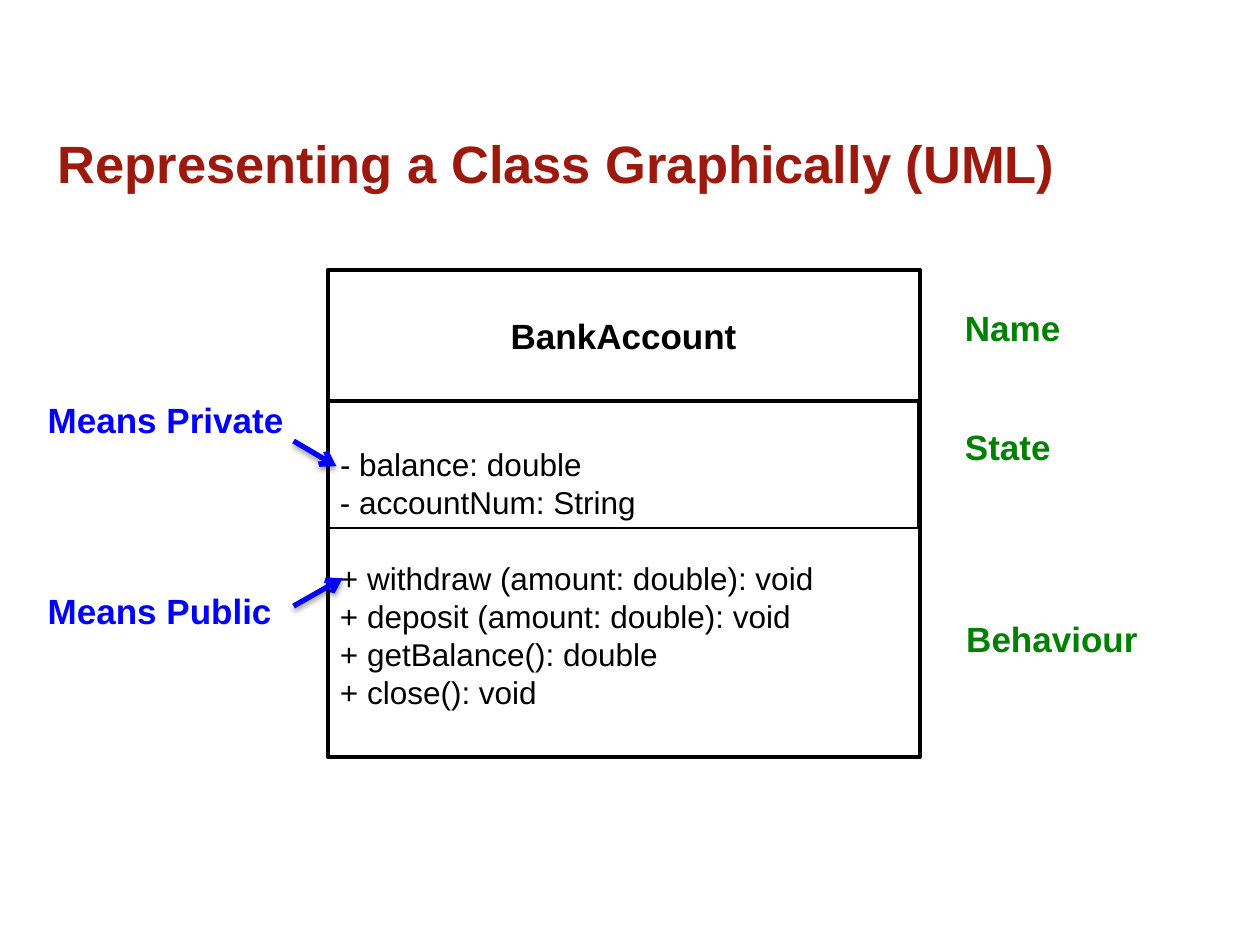
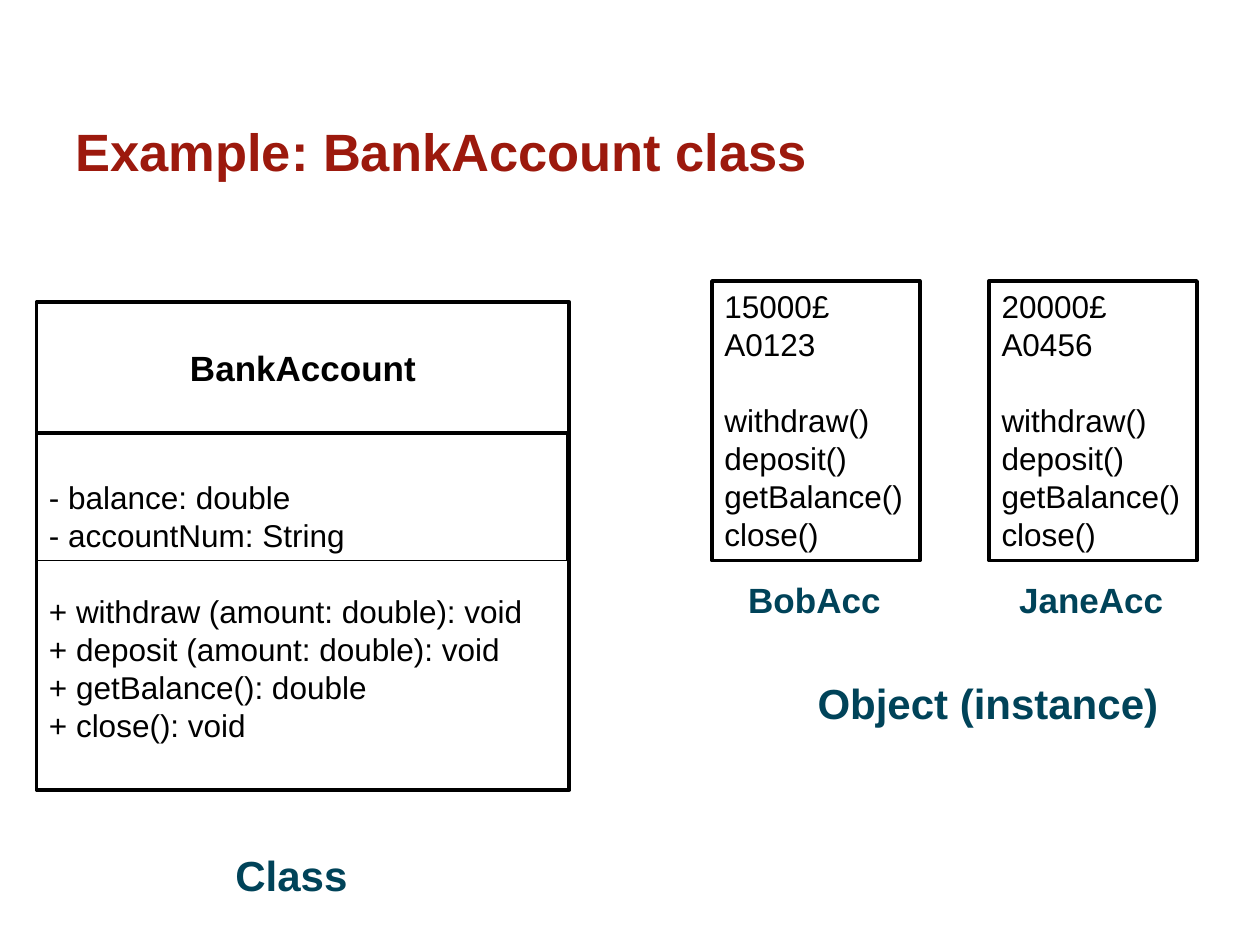
from lxml.etree import SubElement
from pptx import Presentation
from pptx.dml.color import RGBColor
from pptx.enum.shapes import MSO_CONNECTOR, MSO_SHAPE
from pptx.enum.text import MSO_ANCHOR, PP_ALIGN
from pptx.oxml import parse_xml
from pptx.oxml.ns import nsdecls, qn
from pptx.util import Inches, Pt

COLORS = {"title": "9C190D", "ink": "000000", "paper": "FFFFFF",
          "visibility": "0000FF", "section": "008000", "caption": "004359"}
STYLES = {
    "title": {"size": Pt(30), "bold": True},
    "heading": {"size": Pt(24), "bold": True},
    "label": {"size": Pt(20), "bold": True},
    "member": {"size": Pt(18), "bold": False},
}
LINE_RATIO = 1.205
PAD = 0.05
ROW = 18 * LINE_RATIO / 72
NAME_H, STATE_H, BODY_H = 1.04, 1.01, 2.83

CLASS_NAME = "BankAccount"
FIRST_FIELD = "- balance: double"
OTHER_MEMBERS = [
    ["- accountNum: String"],
    ["+ withdraw (amount: double): void", "+ deposit (amount: double): void",
     "+ getBalance(): double", "+ close(): void"],
]
METHODS = ["withdraw()", "deposit()", "getBalance()", "close()"]
OBJECTS = [
    (["15000£", "A0123"], ("BobAcc", 5.84, 1.26)),
    (["20000£", "A0456"], ("JaneAcc", 7.99, 1.36)),
]
OBJECT_X, OBJECT_Y, OBJECT_W, OBJECT_H, OBJECT_STEP = 5.65, 2.23, 1.65, 2.22, 2.2

UML_SLIDE = {
    "title": ("Representing a Class Graphically (UML)", 0.36, 0.99, 9.28, 0.72),
    "class": (2.6, 2.14, 4.7),
    "labels": [
        ("Means Private", 0.28, 3.11, 2.09, "label", "visibility"),
        ("Means Public", 0.28, 4.63, 1.99, "label", "visibility"),
        ("Name", 7.56, 2.38, 0.97, "label", "section"),
        ("State", 7.56, 3.33, 0.89, "label", "section"),
        ("Behaviour", 7.57, 4.85, 1.58, "label", "section"),
    ],
    "arrows": [(2.33, 3.5, 2.67, 3.7), (2.33, 4.81, 2.72, 4.59)],
    "objects": [],
}
EXAMPLE_SLIDE = {
    "title": ("Example: BankAccount class", 0.5, 0.89, 9, 1.08),
    "class": (0.29, 2.4, 4.23),
    "labels": [
        ("Class", 1.77, 6.69, 1.1, "heading", "caption"),
        ("Object (instance)", 6.39, 5.33, 2.93, "heading", "caption"),
    ],
    "arrows": [],
    "objects": OBJECTS,
}


def rgb(name):
    return RGBColor.from_string(COLORS[name])


def write(sp, groups, style, color="ink", align=PP_ALIGN.LEFT, wrap=True, skip=0):
    """Fill a shape with groups of lines, one row apart, starting skip rows down."""
    tf = sp.text_frame
    frame = {"word_wrap": wrap, "vertical_anchor": MSO_ANCHOR.TOP,
             "margin_top": Inches(PAD + skip * ROW), "margin_bottom": Inches(PAD)}
    for key, value in frame.items():
        setattr(tf, key, value)
    fmt = STYLES[style]
    lines = [(text, g > 0 and i == 0)
             for g, group in enumerate(groups) for i, text in enumerate(group)]
    for n, (text, new_group) in enumerate(lines):
        p = tf.add_paragraph() if n else tf.paragraphs[0]
        p.alignment = align
        p.line_spacing = Pt(round(fmt["size"].pt * LINE_RATIO, 1))
        if new_group:
            p.space_before = Inches(ROW)
        r = p.add_run()
        r.text = text
        r.font.name = "Arial"
        r.font.color.rgb = rgb(color)
        for key, value in fmt.items():
            setattr(r.font, key, value)


def add_label(s, text, x, y, w, style, color, h=None, wrap=False):
    h = h or STYLES[style]["size"].inches * LINE_RATIO + 2 * PAD
    sp = s.shapes.add_textbox(*map(Inches, (x, y, w, h)))
    write(sp, [[text]], style, color, wrap=wrap)


def add_box(s, x, y, w, h, weight, fill=None):
    sp = s.shapes.add_shape(MSO_SHAPE.RECTANGLE, *map(Inches, (x, y, w, h)))
    sp.shadow.inherit = False
    sp.line.color.rgb = rgb("ink")
    sp.line.width = Pt(weight)
    if fill:
        sp.fill.solid()
        sp.fill.fore_color.rgb = rgb(fill)
    else:
        sp.fill.background()
    return sp


def add_class(s, x, y, w):
    body_y = y + NAME_H
    write(add_box(s, x, y, w, NAME_H, 2.25), [[CLASS_NAME]], "label",
          align=PP_ALIGN.CENTER, skip=1)
    write(add_box(s, x, body_y, w - 0.02, STATE_H, 0.75), [[FIRST_FIELD]], "member", skip=1)
    write(add_box(s, x, body_y, w, BODY_H, 2.25), OTHER_MEMBERS, "member", skip=2)


def add_arrow(s, *ends):
    c = s.shapes.add_connector(MSO_CONNECTOR.STRAIGHT, *map(Inches, ends))
    c.line.color.rgb = rgb("visibility")
    c.line.width = Pt(3)
    SubElement(c.line._get_or_add_ln(), qn("a:tailEnd"), type="arrow")
    c._element.spPr.append(parse_xml(
        f'<a:effectLst {nsdecls("a")}>'
        f'<a:outerShdw blurRad="{Pt(3.1)}" dist="{Pt(1.8)}" dir="5400000" rotWithShape="0">'
        f'<a:srgbClr val="{COLORS["ink"]}"><a:alpha val="35000"/></a:srgbClr>'
        '</a:outerShdw></a:effectLst>'))


def add_objects(s, objects):
    for i, (state, (name, x, w)) in enumerate(objects):
        sp = add_box(s, OBJECT_X + i * OBJECT_STEP, OBJECT_Y, OBJECT_W, OBJECT_H, 2, "paper")
        write(sp, [state, METHODS], "member", wrap=False)
        add_label(s, name, x, 4.54, w, "label", "caption")


def build_slide(prs, content):
    s = prs.slides.add_slide(prs.slide_layouts[6])
    text, x, y, w, h = content["title"]
    add_label(s, text, x, y, w, "title", "title", h, wrap=True)
    add_class(s, *content["class"])
    for label in content["labels"]:
        add_label(s, *label)
    for ends in content["arrows"]:
        add_arrow(s, *ends)
    add_objects(s, content["objects"])


def main():
    prs = Presentation()
    prs.slide_width, prs.slide_height = Inches(10), Inches(7.5)
    for content in (UML_SLIDE, EXAMPLE_SLIDE):
        build_slide(prs, content)
    prs.save("out.pptx")


if __name__ == "__main__":
    main()
